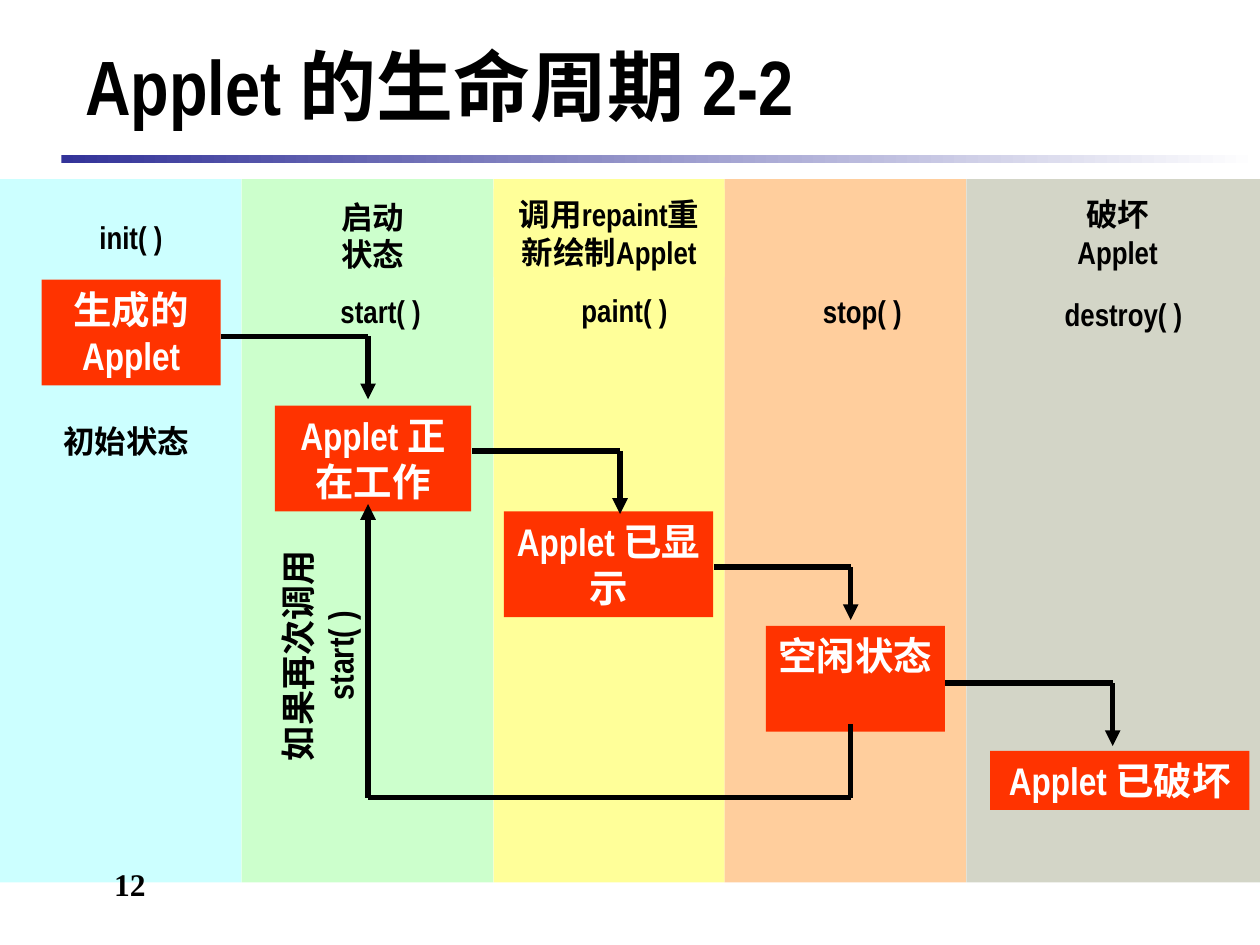
from itertools import accumulate, pairwise
from lxml.etree import SubElement
from pptx import Presentation
from pptx.dml.color import RGBColor
from pptx.enum.shapes import MSO_CONNECTOR, MSO_SHAPE
from pptx.enum.text import MSO_ANCHOR, MSO_AUTO_SIZE, PP_ALIGN
from pptx.oxml.ns import qn
from pptx.util import Cm, Pt

TITLE = "Applet 的生命周期 2-2"
PAGE = "12"
NARROW = "Arial Narrow"
BLACK, WHITE, RED, NAVY = "000000", "FFFFFF", "FF3300", "333399"

BAND_TOP, BAND_HEIGHT = 3.61, 14.18
BANDS = [("CCFFFF", 4.87), ("CCFFCC", 5.08), ("FFFF99", 4.66),
         ("FFCE9D", 4.87), ("D3D5C7", 5.92)]

LABELS = [
    ("init( )", 0, 1.47, 4.27, 2.34, 1.02),
    ("初始状态", 0, 0.43, 8.38, 4.24, 1.02),
    ("启动状态", 1, 6.35, 3.86, 2.34, 1.78),
    ("start( )", 1, 6.48, 5.77, 2.39, 1.02),
    ("调用repaint重新绘制Applet", 2, 9.95, 3.81, 4.66, 1.78),
    ("paint( )", 2, 11, 5.74, 3.18, 1.02),
    ("stop( )", 3, 15.9, 5.77, 2.97, 1.02),
    ("破坏 Applet", 4, 21.16, 3.81, 2.74, 1.78),
    ("destroy( )", 4, 20.96, 5.82, 3.38, 1.02),
]
RESTART = ("如果再次调用 start( )", 1, 3.99, 12.24, 4.88, 1.96)

STATES = [
    ("生成的 Applet", NARROW, 0.84, 5.64, 3.61, 2.13),
    ("Applet 正在工作", NARROW, 5.54, 8.18, 3.96, 2.13),
    ("Applet 已显示", NARROW, 10.16, 10.31, 4.22, 2.13),
    ("空闲状态", "Arial", 15.44, 12.62, 3.61, 2.13),
    ("Applet 已破坏", NARROW, 19.96, 15.14, 5.23, 1.19),
]

ROUTES = [
    [(4.45, 6.78), (7.42, 6.78), (7.42, 8.05)],
    [(9.52, 9.09), (12.5, 9.09), (12.5, 10.36)],
    [(14.4, 11.43), (17.15, 11.43), (17.15, 12.5)],
    [(19.05, 13.77), (22.43, 13.77), (22.43, 15.04)],
    [(17.15, 14.6), (17.15, 16.08), (7.42, 16.08), (7.42, 10.16)],
]


def rgb(color):
    return RGBColor.from_string(color)


def add_rect(s, x, y, w, h, color=None):
    sp = s.shapes.add_shape(MSO_SHAPE.RECTANGLE, Cm(x), Cm(y), Cm(w), Cm(h))
    sp.shadow.inherit = False
    sp.line.fill.background()
    if color:
        sp.fill.solid()
        sp.fill.fore_color.rgb = rgb(color)
    return sp


def write(sp, text, size, color=BLACK, font=NARROW, align=PP_ALIGN.CENTER):
    tf = sp.text_frame
    tf.word_wrap = True
    tf.vertical_anchor = MSO_ANCHOR.TOP
    p = tf.paragraphs[0]
    p.text = text
    p.alignment = align
    r = p.runs[0]
    r.font.name = font
    r.font.size = Pt(size)
    r.font.bold = True
    r.font.color.rgb = rgb(color)
    return p


def add_box(s, text, box, fill, size, color=BLACK, font=NARROW):
    sp = add_rect(s, *box, fill)
    p = write(sp, text, size, color, font)
    p.space_before = Pt(round(size * 0.625, 1))
    sp.text_frame.auto_size = MSO_AUTO_SIZE.SHAPE_TO_FIT_TEXT
    return sp


def add_text(s, text, box, size, **style):
    sp = s.shapes.add_textbox(*map(Cm, box))
    return sp, write(sp, text, size, **style)


def add_route(s, points):
    for start, end in pairwise(points):
        line = s.shapes.add_connector(MSO_CONNECTOR.STRAIGHT,
                                      *map(Cm, start + end))
        line.line.width = Pt(3)
        line.line.color.rgb = rgb(BLACK)
        SubElement(line._element.spPr, qn("a:effectLst"))
    SubElement(line.line._get_or_add_ln(), qn("a:tailEnd"), type="triangle")


def main():
    prs = Presentation()
    prs.slide_width, prs.slide_height = Cm(25.4), Cm(19.05)
    s = prs.slides.add_slide(prs.slide_layouts[6])

    rule = add_rect(s, 1.24, 3.12, 24.16, 0.16)
    rule.fill.gradient()
    rule.fill.gradient_angle = 0
    for stop, color in zip(rule.fill.gradient_stops, (NAVY, WHITE)):
        stop.color.rgb = rgb(color)

    title, _ = add_text(s, TITLE, (1.47, 0.64, 21.64, 2.13), 44,
                        align=PP_ALIGN.LEFT)
    title.text_frame.vertical_anchor = MSO_ANCHOR.MIDDLE

    lefts = accumulate((w for _, w in BANDS), initial=0)
    for x, (color, w) in zip(lefts, BANDS):
        add_rect(s, x, BAND_TOP, w, BAND_HEIGHT, color)

    for text, band, *box in LABELS:
        add_box(s, text, box, BANDS[band][0], 18)
    for text, font, *box in STATES:
        add_box(s, text, box, RED, 22, WHITE, font)
    text, band, *box = RESTART
    add_box(s, text, box, BANDS[band][0], 20).rotation = 270

    for points in ROUTES:
        add_route(s, points)

    _, p = add_text(s, PAGE, (0.51, 17.32, 3.61, 1.32), 18,
                    font="Times New Roman")
    p._p.get_or_add_pPr().set("marL", str(Cm(0.61)))

    prs.save("out.pptx")


if __name__ == "__main__":
    main()
